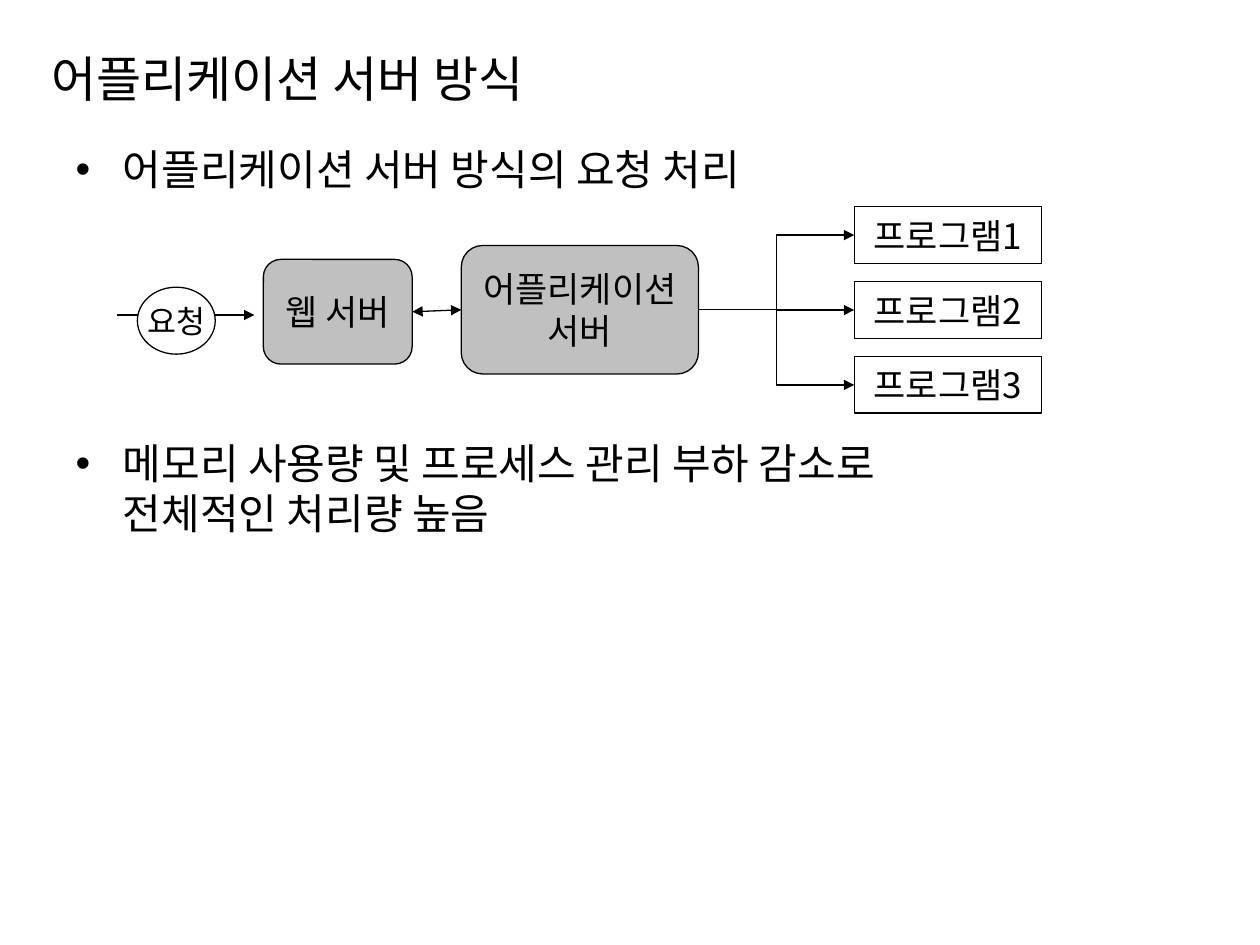
from copy import deepcopy

from lxml import etree
from pptx import Presentation
from pptx.dml.color import RGBColor
from pptx.enum.shapes import MSO_CONNECTOR, MSO_SHAPE
from pptx.enum.text import MSO_ANCHOR, MSO_AUTO_SIZE, PP_ALIGN
from pptx.oxml.ns import qn
from pptx.util import Cm, Pt

RECT = MSO_SHAPE.RECTANGLE
ROUND = MSO_SHAPE.ROUNDED_RECTANGLE
OVAL = MSO_SHAPE.OVAL
LINE = MSO_CONNECTOR.STRAIGHT
ELBOW = MSO_CONNECTOR.ELBOW
LEFT, CENTER = PP_ALIGN.LEFT, PP_ALIGN.CENTER
MIDDLE = MSO_ANCHOR.MIDDLE
WEST, EAST = 1, 3  # connection sites of a rectangle

FONT = "Noto Sans CJK KR"
COLORS = {"ink": "000000", "paper": "FFFFFF", "server": "C0C0C0"}


def color(name):
    return RGBColor.from_string(COLORS[name])


def style(frame, size, align):
    frame.auto_size = MSO_AUTO_SIZE.NONE
    for para in frame.paragraphs:
        para.alignment = align
        for run in para.runs:
            run.font.size = Pt(size)
            run.font.name = FONT
            run.font.color.rgb = color("ink")
            props = run.font._element
            etree.SubElement(props, qn("a:ea"), typeface=FONT)
            # A line break takes the look of the text around it
            for brk in para._p.findall(qn("a:br")):
                if len(brk) == 0:
                    brk.append(deepcopy(props))


def place(shape, box):
    shape.left, shape.top, shape.width, shape.height = map(Cm, box)


def add_title(slide, box):
    title = slide.shapes.title
    place(title, box)
    frame = title.text_frame
    frame.text = "어플리케이션 서버 방식"
    frame.vertical_anchor = MIDDLE
    style(frame, 28, LEFT)


def add_list(slide, box):
    body = slide.placeholders[1]
    place(body, box)
    frame = body.text_frame
    frame.text = ("어플리케이션 서버 방식의 요청 처리\n"
                  "메모리 사용량 및 프로세스 관리 부하 감소로\v전체적인 처리량 높음")
    style(frame, 24, LEFT)
    first, last = frame.paragraphs
    first.space_before = Pt(0)
    last.space_before = Pt(139)  # room for the diagram


def add_node(slide, kind, box, text, fill, size=20):
    node = slide.shapes.add_shape(kind, *map(Cm, box))
    node.shadow.inherit = False
    node.fill.solid()
    node.fill.fore_color.rgb = color(fill)
    node.line.color.rgb = color("ink")
    node.line.width = Pt(0.75)
    frame = node.text_frame
    frame.text = text
    frame.word_wrap = False
    frame.vertical_anchor = MIDDLE
    style(frame, size, CENTER)
    return node


def add_arrow(slide, kind, ends=(0, 0, 0, 0), tips=("tailEnd",)):
    arrow = slide.shapes.add_connector(kind, *map(Cm, ends))
    arrow.line.color.rgb = color("ink")
    arrow.line.width = Pt(0.75)
    for tip in tips:
        etree.SubElement(arrow.line._get_or_add_ln(), qn("a:" + tip), type="triangle")
    etree.SubElement(arrow._element.spPr, qn("a:effectLst"))
    return arrow


def link(slide, kind, start, end, **tips):
    arrow = add_arrow(slide, kind, **tips)
    arrow.begin_connect(start, EAST)
    arrow.end_connect(end, WEST)


def add_flow(slide, left, top):
    # Incoming request
    mid = top + 2.18
    add_arrow(slide, LINE, (left, mid, left + 2.77, mid))
    add_node(slide, OVAL, (left + 0.41, top + 1.62, 1.57, 1.35), "요청", "paper", 18)

    # Servers
    web = add_node(slide, ROUND, (left + 2.95, top + 1.06, 3, 2.11), "웹 서버", "server")
    app = add_node(slide, ROUND, (left + 6.94, top + 0.78, 4.78, 2.59),
                   "어플리케이션\n서버", "server")
    link(slide, LINE, web, app, tips=("headEnd", "tailEnd"))

    # Programs
    for i in range(3):
        box = (left + 14.86, top + 1.51 * i, 3.78, 1.14)
        prog = add_node(slide, RECT, box, f"프로그램{i + 1}", "paper")
        link(slide, ELBOW, app, prog)


def main():
    prs = Presentation()
    prs.slide_width, prs.slide_height = Cm(25.4), Cm(19.05)
    slide = prs.slides.add_slide(prs.slide_layouts[1])
    add_title(slide, (0.79, 0.76, 24, 1.63))
    add_list(slide, (1.27, 2.77, 22.86, 14.25))
    add_flow(slide, 2.36, 4.17)
    prs.save("out.pptx")


if __name__ == "__main__":
    main()
